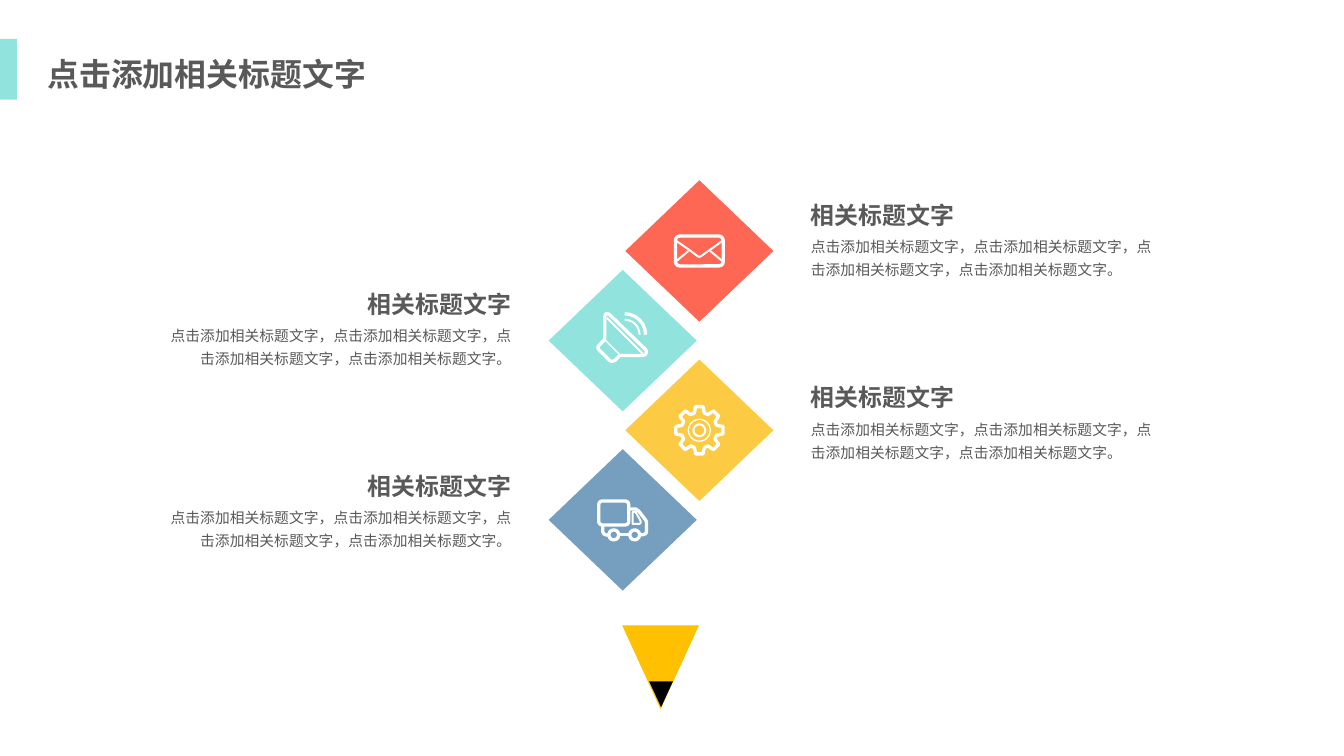
from math import cos, radians, sin

from lxml.etree import SubElement
from pptx import Presentation
from pptx.dml.color import RGBColor
from pptx.enum.shapes import MSO_SHAPE as Kind
from pptx.enum.text import MSO_ANCHOR as Anchor, MSO_AUTO_SIZE as Fit, PP_ALIGN as Align
from pptx.oxml.ns import qn
from pptx.util import Pt

PX = 9525
WIDE, HIGH = 1350, 759

RED = RGBColor(0xFD, 0x67, 0x53)
TEAL = RGBColor(0x91, 0xE3, 0xDE)
YELLOW = RGBColor(0xFC, 0xCB, 0x43)
BLUE = RGBColor(0x76, 0x9E, 0xBF)
AMBER = RGBColor(0xFF, 0xC0, 0x00)
BLACK = RGBColor(0, 0, 0)
WHITE = RGBColor(0xFF, 0xFF, 0xFF)
GRAY = RGBColor(0x59, 0x59, 0x59)

TITLE = "点击添加相关标题文字"
HEAD = "相关标题文字"
BODY = "点击添加相关标题文字，点击添加相关标题文字，点击添加相关标题文字，点击添加相关标题文字。"

# Icon parts on a 52 px grid: preset shapes as (kind, box, weight),
# strokes as (points, closed, weight)
BOLD, THIN, FINE = 2.5, 1.5, 1
TEETH = 8


def gear():
    """Return the outline of the gear, four points to a tooth."""
    rim = []
    for tooth in range(TEETH):
        for turn, reach in ((-16, 18), (-9, 24), (9, 24), (16, 18)):
            angle = radians(tooth * 360 / TEETH + turn)
            rim.append((26 + reach * sin(angle), 26 - reach * cos(angle)))
    return rim


MAIL = {
    "shapes": [(Kind.ROUNDED_RECTANGLE, (2, 11, 48, 30), BOLD)],
    "strokes": [
        ([(3, 16), (16, 25), (24, 31), (26, 32), (28, 31), (49, 16)], False, THIN),
        ([(3, 36), (15, 26)], False, THIN),
        ([(49, 36), (37, 26)], False, THIN),
    ],
}
HORN = {
    "shapes": [
        (Kind.ARC, (13, 5, 30, 30), THIN),
        (Kind.ARC, (7, -1, 42, 42), BOLD),
    ],
    "strokes": [
        ([(8, 25), (8, 2), (9, -1), (11, -1), (13, 0), (49, 35), (50, 37),
          (49, 40), (46, 41), (23, 41)], False, BOLD),
        ([(8, 25), (2, 31), (1, 33), (2, 35), (13, 46), (15, 47), (18, 46),
          (23, 41)], False, BOLD),
        ([(8, 25), (23, 40)], False, FINE),
        ([(10, 3), (46, 39)], False, THIN),
    ],
}
COG = {
    "shapes": [
        (Kind.OVAL, (15, 15, 22, 22), FINE),
        (Kind.OVAL, (20, 20, 12, 12), THIN),
    ],
    "strokes": [(gear(), True, BOLD)],
}
TRUCK = {
    "shapes": [
        (Kind.ROUNDED_RECTANGLE, (2, 7, 30, 24), BOLD),
        (Kind.OVAL, (12, 36, 10, 10), BOLD),
        (Kind.OVAL, (33, 36, 10, 10), BOLD),
    ],
    "strokes": [
        ([(32, 15), (39, 15), (42, 17), (49, 26), (50, 28), (50, 38),
          (49, 40), (46, 41), (43, 41)], False, BOLD),
        ([(22, 41), (33, 41)], False, BOLD),
        ([(6, 31), (6, 38), (7, 40), (9, 41), (12, 41)], False, BOLD),
        ([(36, 18), (39, 18), (44, 27), (44, 29), (43, 30), (36, 30)], True, THIN),
    ],
}

# Colour, icon, top of the heading
STEPS = [
    (RED, MAIL, 188),
    (TEAL, HORN, 277),
    (YELLOW, COG, 371),
    (BLUE, TRUCK, 460),
]
# Diamond left edge, text edge, alignment for each side
SIDES = [(625, 805, Align.LEFT), (548, 523, Align.RIGHT)]
TOP, STEP = 178, 90
GEM_W, GEM_H = 155, 148
GRID = 52
HEAD_W, HEAD_H, BODY_W, BODY_H = 165, 44, 372, 54
BODY_DROP = 41

# Kind, box, colour, rotation
BLOCKS = [
    (Kind.RECTANGLE, (0, 39, 17, 61), TEAL, 0),
    (Kind.ISOSCELES_TRIANGLE, (625, 628, 77, 84), AMBER, 180),
    (Kind.ISOSCELES_TRIANGLE, (652, 684, 24, 26), BLACK, 180),
]


def emu(box):
    return [round(value * PX) for value in box]


def block(kind, box, color):
    shape = slide.shapes.add_shape(kind, *emu(box))
    shape.shadow.inherit = False
    shape.fill.solid()
    shape.fill.fore_color.rgb = color
    shape.line.fill.background()
    return shape


def ink(shape, weight):
    """Show only a white outline."""
    shape.shadow.inherit = False
    shape.fill.background()
    shape.line.color.rgb = WHITE
    shape.line.width = Pt(weight)


def draw(icon, left, top):
    for kind, (x, y, wide, high), weight in icon["shapes"]:
        shape = slide.shapes.add_shape(kind, *emu((left + x, top + y, wide, high)))
        if kind == Kind.ROUNDED_RECTANGLE:
            shape.adjustments[0] = 0.14
        ink(shape, weight)
    for points, closed, weight in icon["strokes"]:
        start, *rest = [emu(point) for point in points]
        pen = slide.shapes.build_freeform(*start)
        pen.add_line_segments(rest, close=closed)
        ink(pen.convert_to_shape(*emu((left, top))), weight)


def write(shape, text, size, bold=False, align=Align.LEFT, wrap=False):
    frame = shape.text_frame
    frame.auto_size = Fit.NONE
    frame.word_wrap = wrap
    frame.vertical_anchor = Anchor.TOP
    para = frame.paragraphs[0]
    para.alignment = align
    para.line_spacing = 1.3
    run = para.add_run()
    run.text = text
    font = run.font
    font.size = Pt(size)
    font.bold = bold
    font.color.rgb = GRAY
    font.name = "Arial"
    SubElement(run._r.get_or_add_rPr(), qn("a:ea")).set("typeface", "Arial")


def note(edge, top, wide, high, align, *style, wrap=False):
    """Add a text box whose aligned side lies on the edge."""
    left = edge - wide if align == Align.RIGHT else edge
    box = slide.shapes.add_textbox(*emu((left, top, wide, high)))
    write(box, *style, align, wrap)


deck = Presentation()
deck.slide_width, deck.slide_height = emu((WIDE, HIGH))
slide = deck.slides.add_slide(deck.slide_layouts[5])

title = slide.shapes.title
title.left, title.top, title.width, title.height = emu((38, 39, 343, 55))
write(title, TITLE, 24, True)

for kind, box, color, turn in BLOCKS:
    block(kind, box, color).rotation = turn

for index, (color, icon, head) in enumerate(STEPS):
    left, edge, align = SIDES[index % 2]
    top = TOP + STEP * index
    gem = block(Kind.DIAMOND, (left, top, GEM_W, GEM_H), color)
    gem.line.color.rgb = WHITE
    gem.line.width = Pt(3)
    draw(icon, left + (GEM_W - GRID) / 2, top + (GEM_H - GRID) / 2)
    note(edge, head, HEAD_W, HEAD_H, align, HEAD, 18, True)
    note(edge, head + BODY_DROP, BODY_W, BODY_H, align, BODY, 11.1, False, wrap=True)

deck.save("out.pptx")
